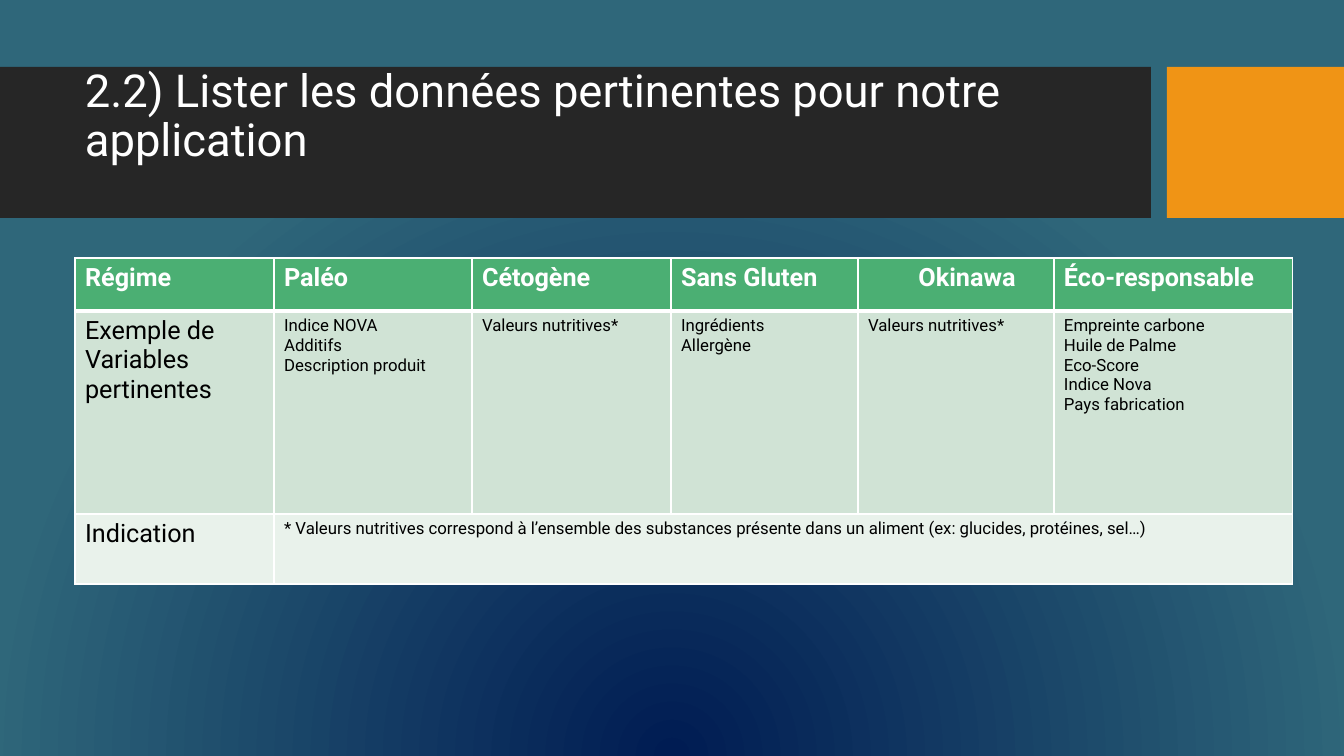
from dataclasses import dataclass

from pptx import Presentation
from pptx.dml.color import RGBColor as Color
from pptx.enum.shapes import MSO_SHAPE as Shape
from pptx.enum.text import MSO_ANCHOR as Anchor
from pptx.oxml import parse_xml
from pptx.oxml.ns import nsdecls
from pptx.util import Pt

SLIDE_WIDTH, SLIDE_HEIGHT = 1344, 756
SCALE = 12192000 / SLIDE_WIDTH


@dataclass(frozen=True)
class Theme:
    font: str = "Roboto"
    white: str = "FFFFFF"
    black: str = "000000"
    band: str = "262626"
    accent: str = "F09415"
    glow: str = "001C53"
    backdrop: str = "2F677A"
    header: str = "4BAF73"
    body: str = "D0E3D5"
    footer: str = "E9F2EB"
    title_size: float = 32.4
    label_size: int = 18
    detail_size: int = 12


THEME = Theme()

COLUMN_WIDTHS = [199, 198, 199, 187, 196, 239]
ROW_HEIGHTS = [53, 203, 70]
ROW_FILLS = [THEME.header, THEME.body, THEME.footer]
DIETS = [
    ["Régime", "Exemple de Variables pertinentes"],
    ["Paléo", "Indice NOVA\nAdditifs\nDescription produit"],
    ["Cétogène", "Valeurs nutritives*"],
    ["Sans Gluten", "Ingrédients\nAllergène"],
    ["Okinawa", "Valeurs nutritives*"],
    ["Éco-responsable",
     "Empreinte carbone\nHuile de Palme\nEco-Score\nIndice Nova\nPays fabrication"],
]
NOTE = ("* Valeurs nutritives correspond à l’ensemble des substances présente "
        "dans un aliment (ex: glucides, protéines, sel…)")


def px(length):
    return round(length * SCALE)


def paint_background(page):
    page.background.fill.solid()
    properties = page.background._cSld.bg.bgPr
    properties.replace(properties[0], parse_xml(
        f'<a:gradFill {nsdecls("a")} rotWithShape="1"><a:gsLst>'
        f'<a:gs pos="0"><a:srgbClr val="{THEME.glow}"/></a:gs>'
        f'<a:gs pos="89000"><a:srgbClr val="{THEME.backdrop}"/></a:gs></a:gsLst>'
        '<a:path path="circle"><a:fillToRect l="50000" t="130000" r="50000" b="-30000"/>'
        '</a:path></a:gradFill>'))


def add_block(page, left, top, width, height, color):
    block = page.shapes.add_shape(Shape.RECTANGLE, px(left), px(top), px(width), px(height))
    block.shadow.inherit = False
    block.fill.solid()
    block.fill.fore_color.rgb = Color.from_string(color)
    block.line.fill.background()


def write_text(frame, text, size, color, bold=False):
    frame.text = text
    for para in frame.paragraphs:
        font = para.font
        font.name, font.size, font.bold = THEME.font, Pt(size), bold
        font.color.rgb = Color.from_string(color)


def add_title(page, text):
    box = page.shapes.add_textbox(px(75), px(83), px(1059), px(119))
    frame = box.text_frame
    frame.word_wrap = True
    frame.vertical_anchor = Anchor.MIDDLE
    frame.margin_bottom = px(55)  # lifts the text towards the top of the band
    write_text(frame, text, THEME.title_size, THEME.white)
    frame.paragraphs[0].line_spacing = 0.9


def set_borders(cell, widths):
    """Draw white borders; widths maps L, R, T, B, in that order, to points."""
    properties = cell._tc.get_or_add_tcPr()
    for position, (side, width) in enumerate(widths.items()):
        properties.insert(position, parse_xml(
            f'<a:ln{side} {nsdecls("a")} w="{Pt(width)}"><a:solidFill>'
            f'<a:srgbClr val="{THEME.white}"/></a:solidFill></a:ln{side}>'))


def add_diet_table(page):
    table = page.shapes.add_table(
        len(ROW_HEIGHTS), len(COLUMN_WIDTHS), px(75), px(258),
        px(sum(COLUMN_WIDTHS)), px(sum(ROW_HEIGHTS))).table
    table.horz_banding = False
    for column, width in zip(table.columns, COLUMN_WIDTHS):
        column.width = px(width)
    for row, height in zip(table.rows, ROW_HEIGHTS):
        row.height = px(height)

    # Fills and borders, with a heavier rule under the header
    for row_index, (row, color) in enumerate(zip(table.rows, ROW_FILLS)):
        is_header = row_index == 0
        for cell in row.cells:
            cell.fill.solid()
            cell.fill.fore_color.rgb = Color.from_string(color)
            set_borders(cell, {"L": 1, "R": 1, "T": 3 if row_index == 1 else 1,
                               "B": 3 if is_header else 1})

    # Diet names and their variables
    for index, (name, variables) in enumerate(DIETS):
        size = THEME.detail_size if index else THEME.label_size
        write_text(table.cell(0, index).text_frame, name, THEME.label_size, THEME.white, True)
        write_text(table.cell(1, index).text_frame, variables, size, THEME.black)
    okinawa = table.cell(0, 4).text_frame.paragraphs[0]
    okinawa.level = 1
    okinawa._p.get_or_add_pPr().set("marL", str(Pt(36)))

    # Footnote row
    table.cell(2, 1).merge(table.cell(2, 5))
    write_text(table.cell(2, 0).text_frame, "Indication", THEME.label_size, THEME.black)
    write_text(table.cell(2, 1).text_frame, NOTE, THEME.detail_size, THEME.black)


def main():
    deck = Presentation()
    deck.slide_width, deck.slide_height = px(SLIDE_WIDTH), px(SLIDE_HEIGHT)
    page = deck.slides.add_slide(deck.slide_layouts[6])
    paint_background(page)

    # Title band
    add_block(page, 0, 67, 1151, 151, THEME.band)
    add_block(page, 1167, 67, 177, 151, THEME.accent)
    add_title(page, "2.2) Lister les données pertinentes pour notre application")

    add_diet_table(page)
    deck.save("out.pptx")


if __name__ == "__main__":
    main()
